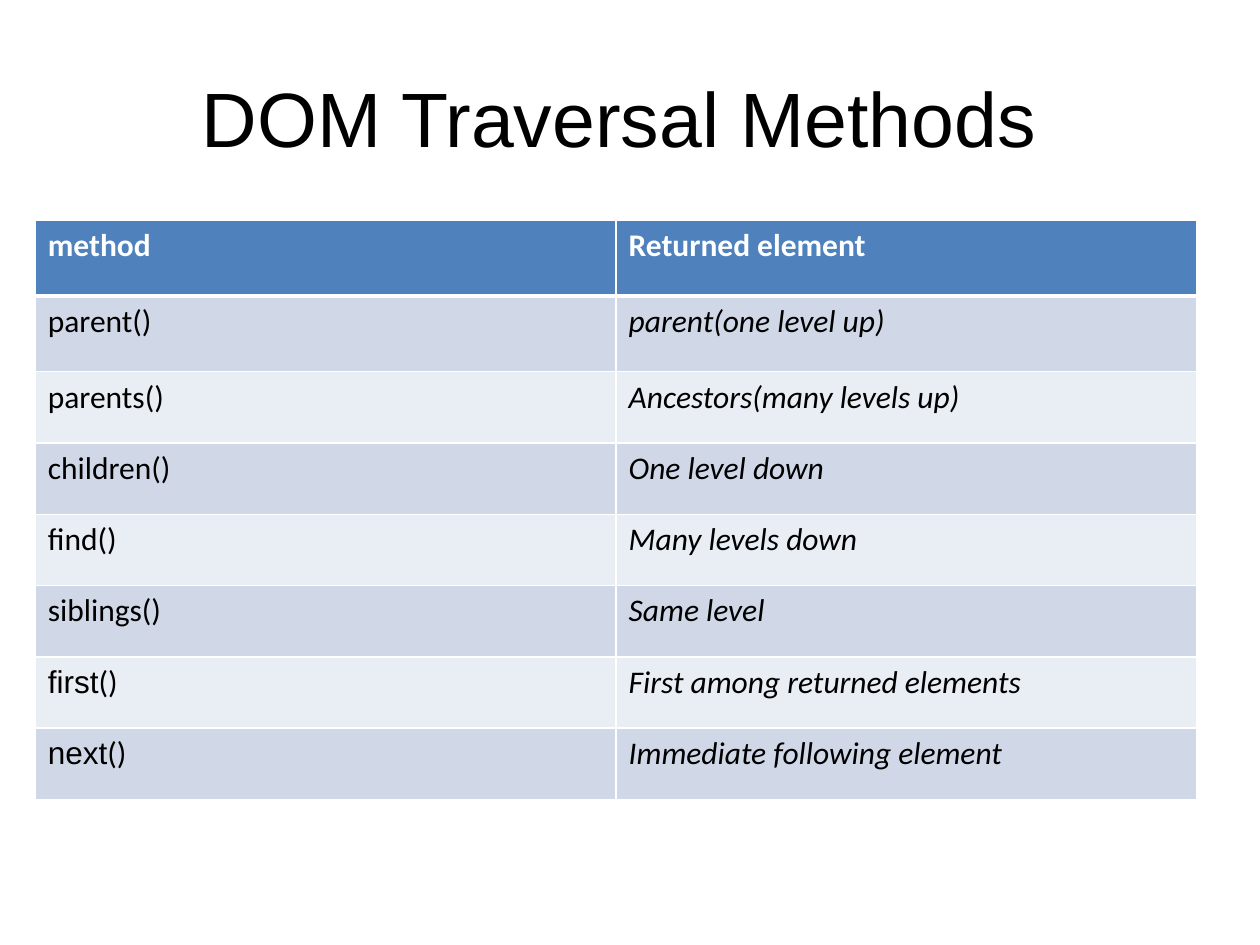
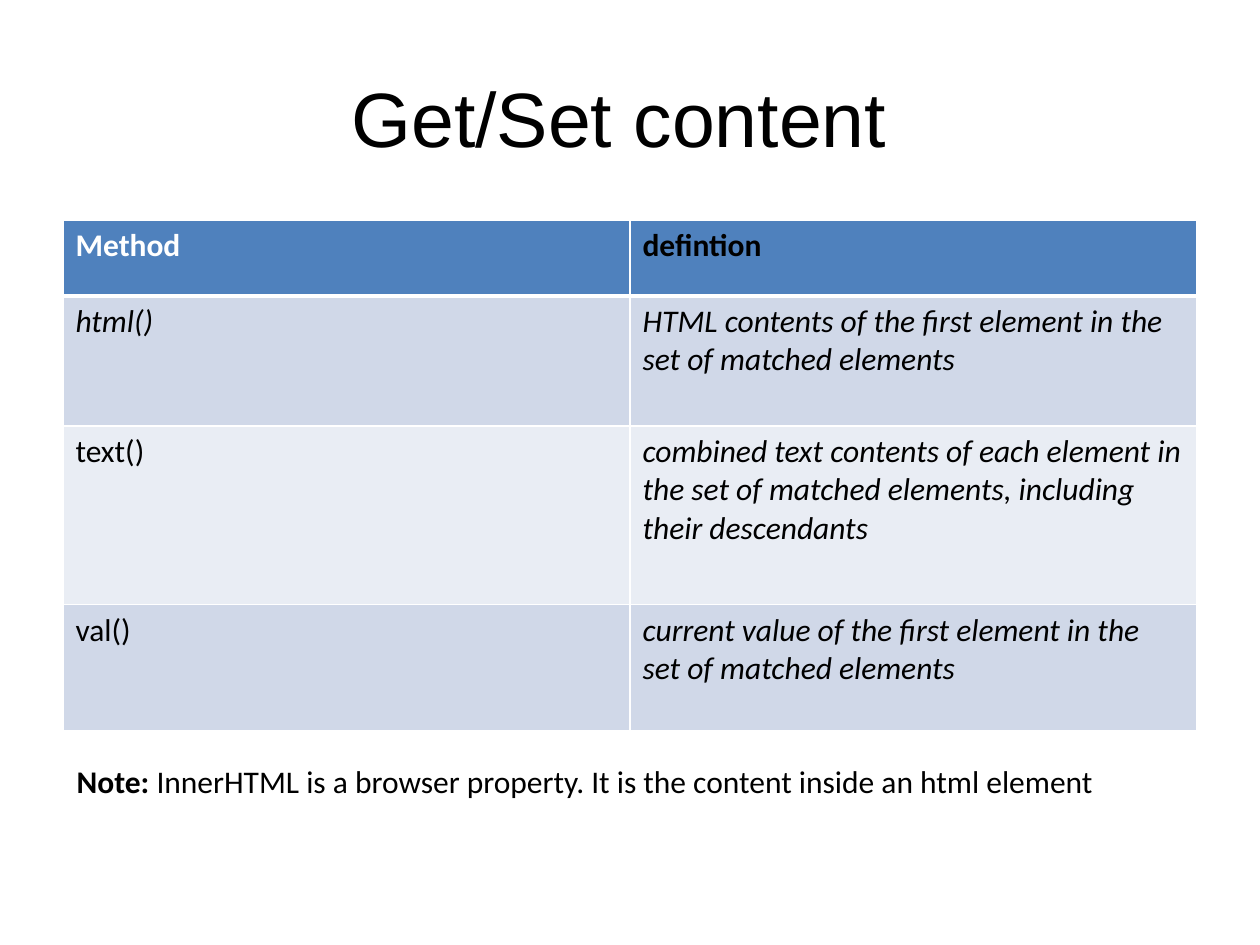
from collections import namedtuple

from lxml import etree
from pptx import Presentation
from pptx.dml.color import RGBColor
from pptx.enum.text import MSO_ANCHOR, PP_ALIGN
from pptx.oxml.ns import qn
from pptx.util import Inches, Pt

CENTER = PP_ALIGN.CENTER
LEFT = PP_ALIGN.LEFT
MIDDLE = MSO_ANCHOR.MIDDLE
TOP = MSO_ANCHOR.TOP

COLORS = {
    "text": "000000",
    "header_text": "FFFFFF",
    "header": "4F81BD",
    "odd_row": "D0D8E8",
    "even_row": "E9EDF4",
    "border": "FFFFFF",
}
HEADING_FONT = "Arial"
BODY_FONT = "Calibri"
NBSP = "\u00a0"

SLIDE_WIDTH = Inches(10)
SLIDE_HEIGHT = Inches(7.5)
GRID_COLUMNS = 100
GRID_ROWS = 75

Box = namedtuple("Box", "left top width height")
Run = namedtuple("Run", "text bold italic font color size",
                 defaults=(False, False, BODY_FONT, "text", 18))

TITLE_BOX = Box(5, 3, 90, 12.5)


def across(columns):
    return round(SLIDE_WIDTH * columns / GRID_COLUMNS)


def down(rows):
    return round(SLIDE_HEIGHT * rows / GRID_ROWS)


def place(box):
    return across(box.left), down(box.top), across(box.width), down(box.height)


def add_runs(paragraph, runs):
    for item in runs:
        run = paragraph.add_run()
        run.text = item.text
        run.font.name = item.font
        run.font.size = Pt(item.size)
        run.font.bold = item.bold
        run.font.italic = item.italic
        run.font.color.rgb = RGBColor.from_string(COLORS[item.color])


def add_text(slide, box, runs, alignment=LEFT, anchor=TOP):
    frame = slide.shapes.add_textbox(*place(box)).text_frame
    frame.word_wrap = True
    frame.vertical_anchor = anchor
    paragraph = frame.paragraphs[0]
    paragraph.alignment = alignment
    add_runs(paragraph, runs)


def add_title(slide, text):
    title = Run(text + NBSP, font=HEADING_FONT, size=44)
    add_text(slide, TITLE_BOX, [title], CENTER, MIDDLE)


def set_borders(cell, top_width, bottom_width):
    properties = cell._tc.get_or_add_tcPr()
    widths = {"a:lnL": 1, "a:lnR": 1, "a:lnT": top_width, "a:lnB": bottom_width}
    for tag, width in widths.items():
        line = etree.SubElement(properties, qn(tag), w=str(Pt(width)))
        fill = etree.SubElement(line, qn("a:solidFill"))
        etree.SubElement(fill, qn("a:srgbClr"), val=COLORS["border"])


def add_method_table(slide, box, row_heights, rows):
    column_count = len(rows[0])
    table = slide.shapes.add_table(len(rows), column_count, *place(box)).table
    for column in table.columns:
        column.width = across(box.width / column_count)
    for row_index, (height, contents) in enumerate(zip(row_heights, rows)):
        table.rows[row_index].height = down(height)
        if row_index == 0:
            fill = "header"
        else:
            fill = "odd_row" if row_index % 2 else "even_row"
        for column_index, runs in enumerate(contents):
            cell = table.cell(row_index, column_index)
            set_borders(cell, 3 if row_index == 1 else 1, 3 if row_index == 0 else 1)
            cell.fill.solid()
            cell.fill.fore_color.rgb = RGBColor.from_string(COLORS[fill])
            add_runs(cell.text_frame.paragraphs[0], runs)


def header(text, color="header_text"):
    return [Run(text + NBSP, bold=True, color=color)]


def plain(text):
    return [Run(text)]


def italic(text):
    return [Run(text, italic=True)]


def heading_font_call(name):
    return [Run(name, font=HEADING_FONT), Run("()")]


def build_traversal_slide(slide):
    add_title(slide, f"DOM Traversal{NBSP}Methods")
    rows = [
        (header("method"), header("Returned element")),
        (plain("parent()" + NBSP), italic("parent(one level up)" + NBSP)),
        (plain("parents()" + NBSP), italic("Ancestors(many levels up)" + NBSP)),
        (plain("children()" + NBSP), italic("One level down" + NBSP)),
        (plain("find()"), italic("Many levels down" + NBSP)),
        (plain("siblings()"), italic("Same level" + NBSP)),
        (heading_font_call("first"), italic("First among returned elements" + NBSP)),
        (heading_font_call("next"), italic("Immediate following element" + NBSP)),
    ]
    row_heights = [6] * 2 + [5.66] * 6
    add_method_table(slide, Box(2.8, 17.5, 92.2, sum(row_heights)), row_heights, rows)


def build_content_slide(slide):
    add_title(slide, "Get/Set content")
    rows = [
        (header("Method"), header("defintion", "text")),
        (italic("html()" + NBSP),
         italic(f"HTML{NBSP}contents of the first element in the set of matched elements")),
        (plain("text()" + NBSP),
         italic("combined text contents of each element in the set of matched elements, "
                "including their descendants")),
        (plain("val()" + NBSP),
         italic("current value of the first element in the set of matched elements")),
    ]
    row_heights = [6, 10.3, 14.2, 10]
    add_method_table(slide, Box(5, 17.5, 90, sum(row_heights)), row_heights, rows)
    note = [
        Run("Note:" + NBSP, bold=True),
        Run(f"InnerHTML is a{NBSP}browser property. "
            f"It is the content inside an html element{NBSP}"),
    ]
    add_text(slide, Box(5.1, 60, 89.9, 4), note)


presentation = Presentation()
presentation.slide_width = SLIDE_WIDTH
presentation.slide_height = SLIDE_HEIGHT
blank_layout = presentation.slide_layouts[6]
for build_slide in (build_traversal_slide, build_content_slide):
    build_slide(presentation.slides.add_slide(blank_layout))
presentation.save("out.pptx")
